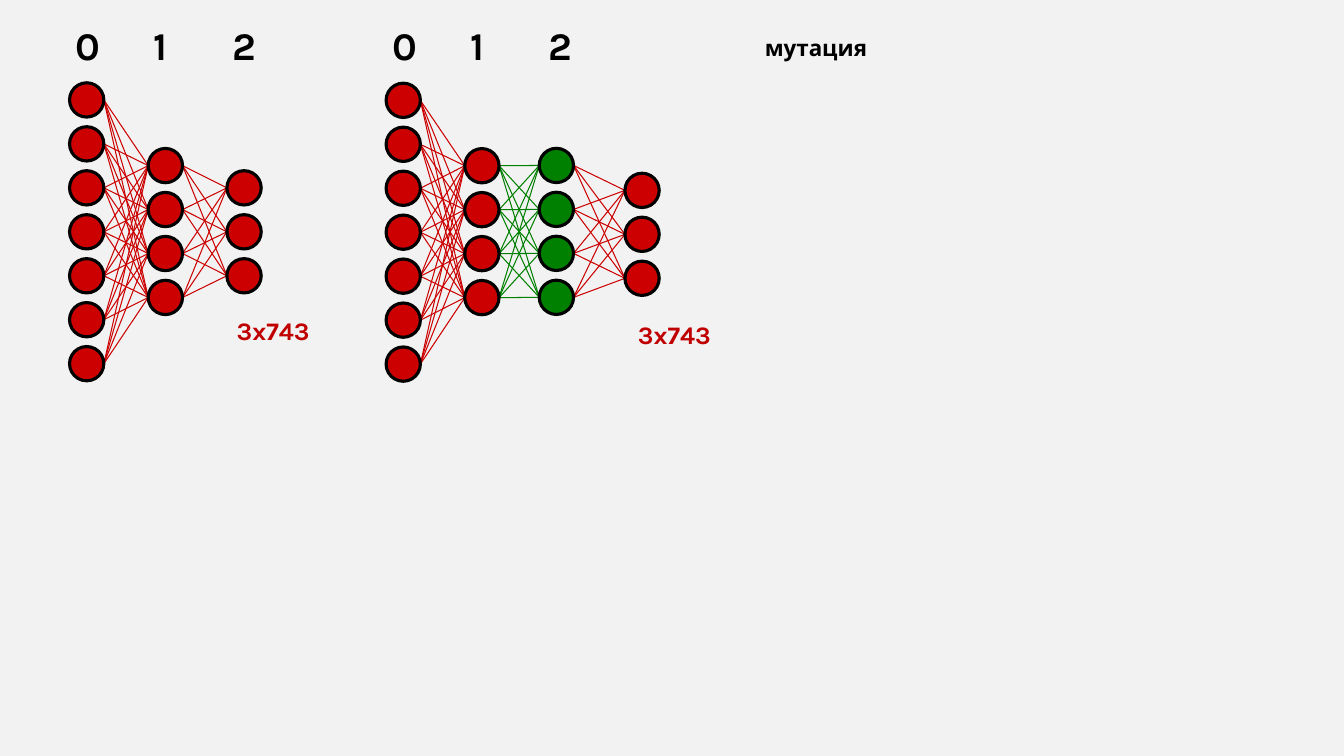
"""Build a slide comparing a neural network before and after a mutation."""
from dataclasses import dataclass
from itertools import pairwise, product

from lxml.etree import SubElement
from pptx import Presentation
from pptx.dml.color import RGBColor
from pptx.enum.shapes import MSO_CONNECTOR as Connector
from pptx.enum.shapes import MSO_SHAPE as Shape
from pptx.enum.text import MSO_AUTO_SIZE as AutoSize
from pptx.oxml.ns import qn
from pptx.slide import Slide
from pptx.util import Pt

BACKGROUND = RGBColor(0xF2, 0xF2, 0xF2)
BLACK = RGBColor(0x00, 0x00, 0x00)
RED = RGBColor(0xCC, 0x00, 0x00)
DARK_RED = RGBColor(0xC0, 0x00, 0x00)
GREEN = RGBColor(0x00, 0x80, 0x00)

FONT = "Karla"
NEURON_SIZE = 24.5
NEURON_PITCH = 31.4


@dataclass(frozen=True)
class Layer:
    left: float
    middle: float
    neurons: int
    color: RGBColor = RED

    @property
    def right(self) -> float:
        return self.left + NEURON_SIZE

    @property
    def centers(self) -> list[float]:
        first = self.middle - (self.neurons - 1) / 2 * NEURON_PITCH
        return [first + i * NEURON_PITCH for i in range(self.neurons)]


@dataclass(frozen=True)
class Label:
    text: str
    left: float
    top: float
    width: float
    height: float
    size: float
    color: RGBColor = BLACK
    wrap: bool = True


PARENT_NETWORK = [
    Layer(49.7, 165.6, 7),
    Layer(105.9, 165.4, 4),
    Layer(162.1, 165.6, 3),
]
MUTANT_NETWORK = [
    Layer(275.8, 165.9, 7),
    Layer(332, 165.5, 4),
    Layer(385.2, 165.3, 4, GREEN),
    Layer(446.4, 167.4, 3),
]
LAYER_NUMBERS = [
    Label(str(number), start + number * 56, 11.7, 31, 41, 28, wrap=False)
    for start, number in product((46.8, 273), range(3))
]
CAPTIONS = [
    Label("3x743", 162, 221.8, 73.4, 29, 18, DARK_RED),
    Label("3x743", 448.6, 224.6, 73.4, 29, 18, DARK_RED),
    Label("мутация", 539.3, 20.9, 437, 26.6, 16),
]


def draw_label(slide: Slide, label: Label) -> None:
    """Write one bold label."""
    box = slide.shapes.add_textbox(
        Pt(label.left), Pt(label.top), Pt(label.width), Pt(label.height)
    )
    frame = box.text_frame
    frame.text = label.text
    frame.word_wrap = label.wrap
    frame.auto_size = AutoSize.SHAPE_TO_FIT_TEXT
    font = frame.paragraphs[0].runs[0].font
    font.name = FONT
    font.size = Pt(label.size)
    font.bold = True
    font.color.rgb = label.color


def draw_links(slide: Slide, source: Layer, target: Layer) -> None:
    """Link every neuron of one layer to every neuron of the next."""
    for start, end in product(source.centers, target.centers):
        link = slide.shapes.add_connector(
            Connector.STRAIGHT,
            Pt(source.right), Pt(start), Pt(target.left), Pt(end),
        )
        link.line.color.rgb = target.color
        link.line.width = Pt(0.75)
        SubElement(link._element.spPr, qn("a:effectLst"))


def draw_neurons(slide: Slide, layer: Layer) -> None:
    """Draw the column of neurons in a layer."""
    for center in layer.centers:
        neuron = slide.shapes.add_shape(
            Shape.OVAL,
            Pt(layer.left), Pt(center - NEURON_SIZE / 2),
            Pt(NEURON_SIZE), Pt(NEURON_SIZE),
        )
        neuron.shadow.inherit = False
        neuron.fill.solid()
        neuron.fill.fore_color.rgb = layer.color
        neuron.line.color.rgb = BLACK
        neuron.line.width = Pt(2.25)


def draw_network(slide: Slide, layers: list[Layer]) -> None:
    """Draw a fully connected network, with the links behind the neurons."""
    for source, target in pairwise(layers):
        draw_links(slide, source, target)
    for layer in layers:
        draw_neurons(slide, layer)


def main() -> None:
    """Assemble and save the slide."""
    deck = Presentation()
    deck.slide_width, deck.slide_height = Pt(960), Pt(540)
    slide = deck.slides.add_slide(deck.slide_layouts[6])
    slide.background.fill.solid()
    slide.background.fill.fore_color.rgb = BACKGROUND
    for label in LAYER_NUMBERS + CAPTIONS:
        draw_label(slide, label)
    for network in (PARENT_NETWORK, MUTANT_NETWORK):
        draw_network(slide, network)
    deck.save("out.pptx")


if __name__ == "__main__":
    main()
